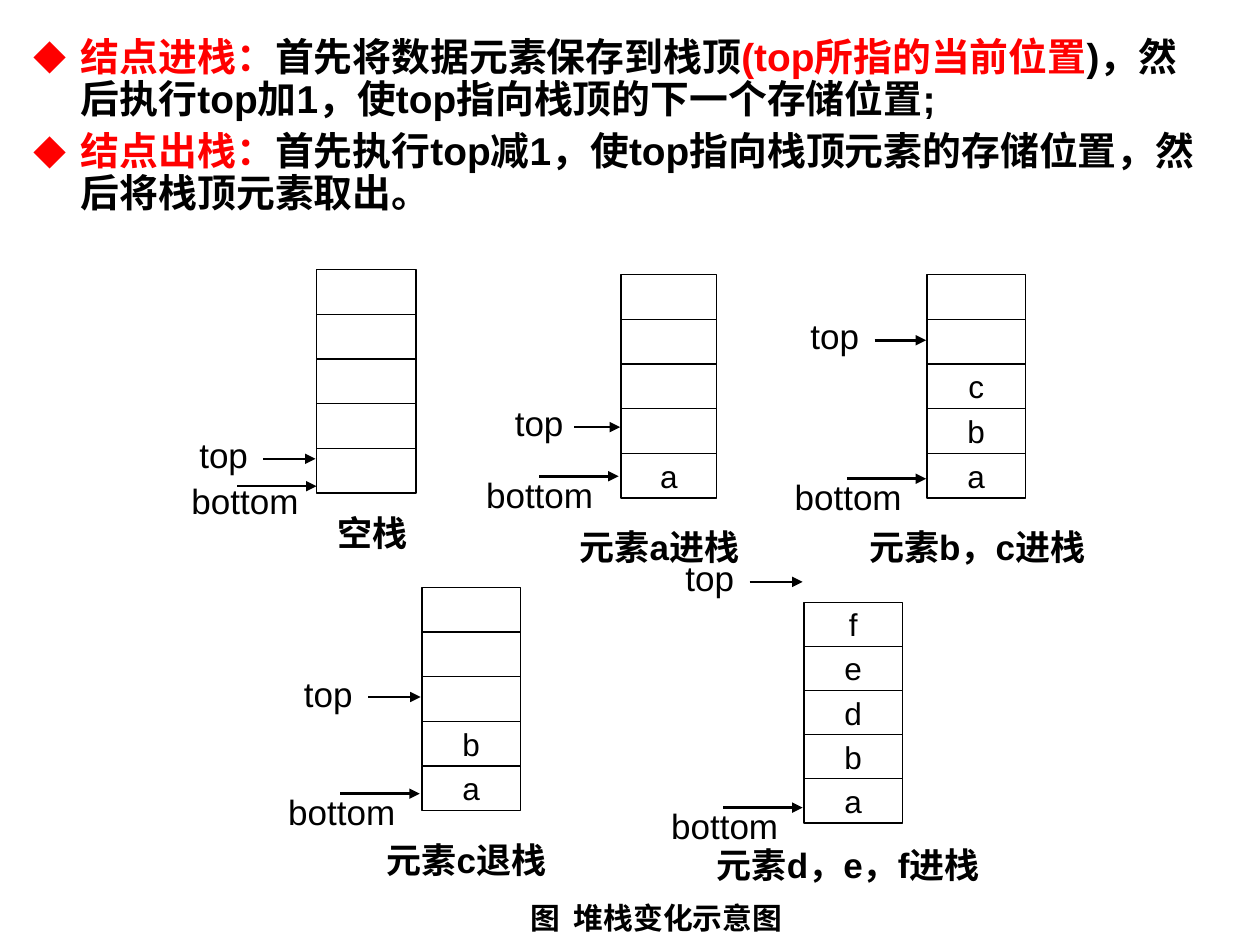
from dataclasses import dataclass

from lxml import etree
from pptx import Presentation
from pptx.dml.color import RGBColor
from pptx.enum.shapes import MSO_CONNECTOR, MSO_SHAPE
from pptx.enum.text import MSO_ANCHOR, PP_ALIGN
from pptx.oxml.ns import qn
from pptx.util import Cm, Pt

RECT = MSO_SHAPE.RECTANGLE
STRAIGHT = MSO_CONNECTOR.STRAIGHT
MIDDLE, TOP = MSO_ANCHOR.MIDDLE, MSO_ANCHOR.TOP
CENTER, LEFT = PP_ALIGN.CENTER, PP_ALIGN.LEFT

COLORS = {"black": "000000", "red": "FF0000", "white": "FFFFFF"}
LATIN, CJK = "Arial", "Noto Sans CJK SC"
LABEL_H = 0.99

BODY_FONT = {"size": Pt(22.2), "bold": True, "name": LATIN}
FIGURE_FONT = {"size": Pt(17), "bold": True, "name": LATIN}
CAPTION_FONT = {"size": Pt(20), "bold": True, "name": LATIN}
POINTER_FONT = {"size": Pt(20), "bold": False, "name": LATIN}
CELL_FONT = {"size": Pt(18), "bold": False, "name": LATIN}
CENTERED_FRAME = {"word_wrap": False, "vertical_anchor": MIDDLE,
                  "margin_left": 0, "margin_right": 0}


@dataclass
class Box:
    left: float
    top: float
    width: float
    height: float = LABEL_H

    def lengths(self) -> list:
        return [Cm(v) for v in (self.left, self.top, self.width, self.height)]


@dataclass
class Pointer:
    text: str
    label: Box
    start: float
    tip: float
    y: float


@dataclass
class Stack:
    left: float
    top: float
    width: float
    pitch: float
    cells: list[str]
    pointers: list[Pointer]
    caption: str
    caption_box: Box


STACKS = [
    Stack(6.38, 5.44, 2.01, 0.9, ["", "", "", "", ""],
          [Pointer("bottom", Box(3.79, 9.6, 2.3), 4.78, 6.38, 9.8),
           Pointer("top", Box(3.81, 8.66, 1.4), 5.31, 6.36, 9.25)],
          "空栈", Box(6.5, 10.24, 2.01)),
    Stack(12.52, 5.54, 1.93, 0.9, ["", "", "", "", "a"],
          [Pointer("bottom", Box(9.73, 9.47, 2.3), 10.87, 12.47, 9.6),
           Pointer("top", Box(10.26, 8.03, 1.22), 11.58, 12.5, 8.61)],
          "元素a进栈", Box(11.2, 10.39, 4.19, 1.24)),
    Stack(18.69, 5.54, 1.98, 0.9, ["", "", "c", "b", "a"],
          [Pointer("bottom", Box(15.95, 9.52, 2.3), 17.07, 18.67, 9.65),
           Pointer("top", Box(16.13, 6.27, 1.4), 17.63, 18.67, 6.86)],
          "元素b，c进栈", Box(17, 10.44, 5.4, 1.17)),
    Stack(8.51, 11.84, 1.98, 0.9, ["", "", "", "b", "a"],
          [Pointer("bottom", Box(5.74, 15.87, 2.3), 6.86, 8.46, 16),
           Pointer("top", Box(5.92, 13.49, 1.4), 7.42, 8.48, 14.05)],
          "元素c退栈", Box(7.4, 16.79, 4, 1.09)),
    Stack(16.21, 12.14, 1.98, 0.89, ["f", "e", "d", "b", "a"],
          [Pointer("bottom", Box(13.46, 16.15, 2.3), 14.58, 16.18, 16.28),
           Pointer("top", Box(13.61, 11.15, 1.4), 15.11, 16.18, 11.73)],
          "元素d，e，f进栈", Box(13.7, 16.94, 6.8)),
]

RULES = [
    [("结点进栈：", "red"), ("首先将数据元素保存到栈顶", "black"),
     ("(top所指的当前位置", "red"),
     (")，然后执行top加1，使top指向栈顶的下一个存储位置;", "black")],
    [("结点出栈：", "red"),
     ("首先执行top减1，使top指向栈顶元素的存储位置，然后将栈顶元素取出。", "black")],
]


def color(name: str) -> RGBColor:
    return RGBColor.from_string(COLORS[name])


def apply(target, values: dict) -> None:
    for name, value in values.items():
        setattr(target, name, value)


def add_run(p, text: str, font: dict, fill: str = "black") -> None:
    r = p.add_run()
    r.text = text
    apply(r.font, font)
    r.font.color.rgb = color(fill)
    etree.SubElement(r.font._element, qn("a:ea"), typeface=CJK)


def write_centered(sp, text: str, font: dict) -> None:
    apply(sp.text_frame, CENTERED_FRAME)
    p = sp.text_frame.paragraphs[0]
    p.alignment = CENTER
    add_run(p, text, font)


def add_label(s, box: Box, text: str, font: dict) -> None:
    write_centered(s.shapes.add_textbox(*box.lengths()), text, font)


def add_cell(s, box: Box, text: str) -> None:
    sp = s.shapes.add_shape(RECT, *box.lengths())
    sp.shadow.inherit = False
    sp.fill.background()
    sp.line.color.rgb = color("black")
    sp.line.width = Pt(0.75)
    if text:
        write_centered(sp, text, CELL_FONT)


def add_pointer(s, pointer: Pointer) -> None:
    add_label(s, pointer.label, pointer.text, POINTER_FONT)
    y = Cm(pointer.y)
    arrow = s.shapes.add_connector(STRAIGHT, Cm(pointer.start), y, Cm(pointer.tip), y)
    arrow.line.color.rgb = color("black")
    arrow.line.width = Pt(1.5)
    etree.SubElement(arrow.line._get_or_add_ln(), qn("a:tailEnd"), type="triangle")
    etree.SubElement(arrow._element.spPr, qn("a:effectLst"))


def add_stack(s, stack: Stack) -> None:
    for i, text in enumerate(stack.cells):
        top = stack.top + i * stack.pitch
        add_cell(s, Box(stack.left, top, stack.width, stack.pitch), text)
    for pointer in stack.pointers:
        add_pointer(s, pointer)
    add_label(s, stack.caption_box, stack.caption, CAPTION_FONT)


def add_bullet(p) -> None:
    pPr = p._p.get_or_add_pPr()
    pPr.set("marL", str(Cm(0.95)))
    pPr.set("indent", str(-Cm(0.95)))
    bu_color = etree.SubElement(pPr, qn("a:buClr"))
    etree.SubElement(bu_color, qn("a:srgbClr"), val=COLORS["red"])
    etree.SubElement(pPr, qn("a:buSzPct"), val="85000")
    etree.SubElement(pPr, qn("a:buFont"), typeface=CJK)
    etree.SubElement(pPr, qn("a:buChar"), char="◆")


def add_rules(s, box: Box) -> None:
    sp = s.shapes.add_shape(RECT, *box.lengths())
    sp.shadow.inherit = False
    sp.fill.solid()
    sp.fill.fore_color.rgb = color("white")
    sp.line.fill.background()
    tf = sp.text_frame
    apply(tf, {"word_wrap": True, "vertical_anchor": TOP})
    for i, runs in enumerate(RULES):
        p = tf.add_paragraph() if i else tf.paragraphs[0]
        add_bullet(p)
        apply(p, {"alignment": LEFT, "line_spacing": 0.9, "space_before": Pt(6 if i else 0)})
        for text, fill in runs:
            add_run(p, text, BODY_FONT, fill)


def main() -> None:
    prs = Presentation()
    apply(prs, {"slide_width": Cm(25.4), "slide_height": Cm(19.05)})
    s = prs.slides.add_slide(prs.slide_layouts[6])
    add_rules(s, Box(0.43, 0.64, 24.33, 4.57))
    for stack in STACKS:
        add_stack(s, stack)
    add_label(s, Box(8.41, 18, 9.65), "图  堆栈变化示意图", FIGURE_FONT)
    prs.save("out.pptx")


if __name__ == "__main__":
    main()
